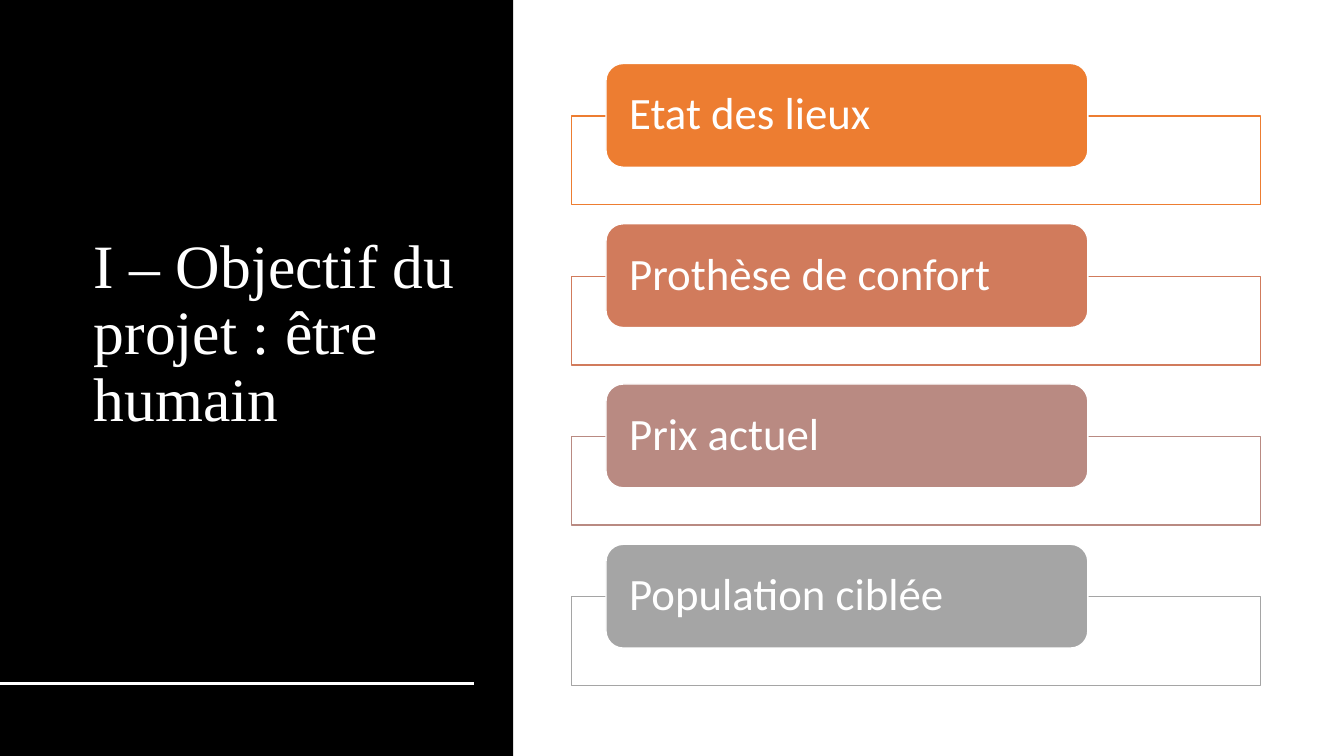
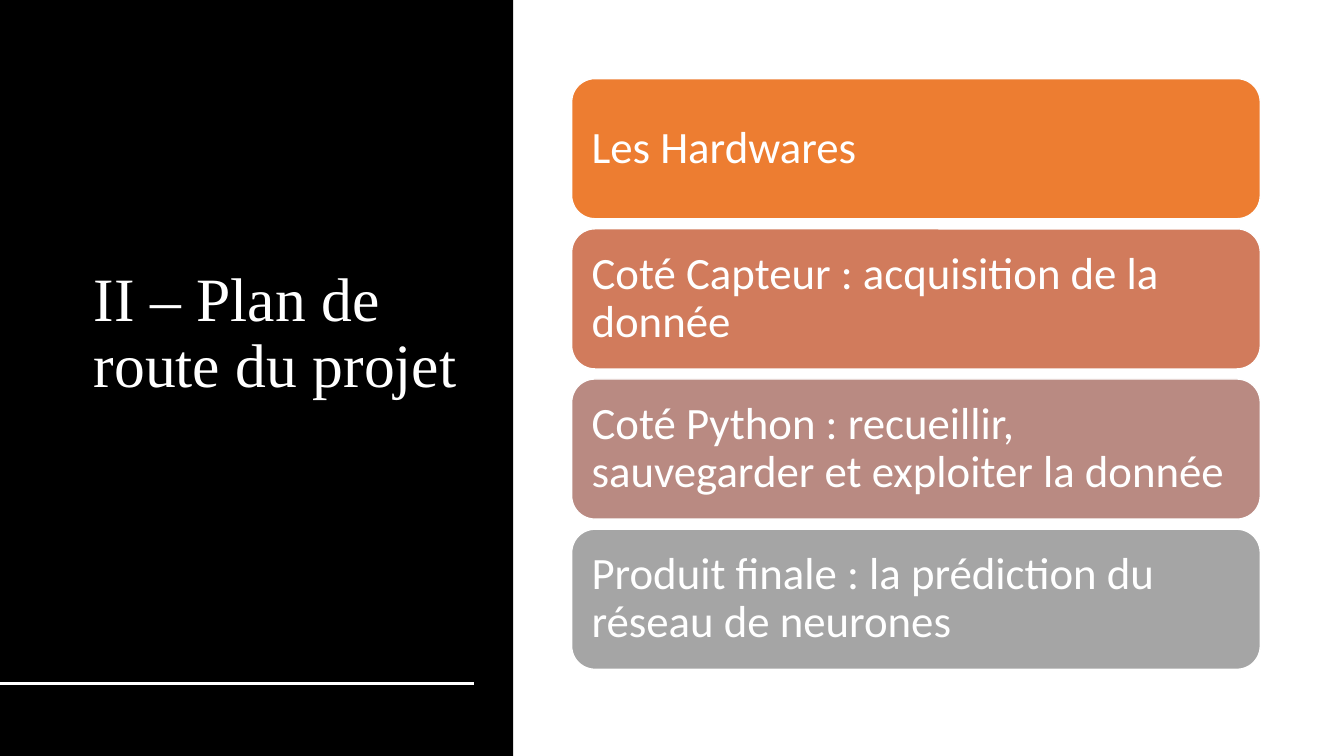
from lxml.etree import SubElement
from pptx import Presentation
from pptx.dml.color import RGBColor
from pptx.enum.shapes import MSO_CONNECTOR, MSO_SHAPE
from pptx.enum.text import MSO_ANCHOR, MSO_AUTO_SIZE, PP_ALIGN
from pptx.oxml.ns import qn
from pptx.util import Inches, Pt

BLACK, WHITE = "000000", "FFFFFF"
STEP_COLOURS = ["ED7D31", "D17B5C", "B98A82", "A5A5A5"]
TITLE_FONT, BODY_FONT = "Times New Roman", "Calibri"
LIST_LEFT, LIST_WIDTH = 5.67, 6.83

GOALS_TITLE = "I – Objectif du projet : être humain"
GOALS = ["Etat des lieux", "Prothèse de confort", "Prix actuel", "Population ciblée"]
ROADMAP_TITLE = "II – Plan de route du projet"
ROADMAP = [
    "Les Hardwares",
    "Coté Capteur : acquisition de la donnée",
    "Coté Python : recueillir, sauvegarder et exploiter la donnée",
    "Produit finale : la prédiction du réseau de neurones",
]


def rgb(colour):
    return RGBColor.from_string(colour)


def add_box(page, kind, left, top, width, height, fill, line=None):
    box = page.shapes.add_shape(
        kind, Inches(left), Inches(top), Inches(width), Inches(height))
    box.shadow.inherit = False
    box.fill.solid()
    box.fill.fore_color.rgb = rgb(fill)
    if line:
        box.line.color.rgb = rgb(line)
        box.line.width = Pt(1)
    else:
        box.line.fill.background()
    return box


def write(box, text, font, size, side, upright):
    """Put white left-aligned text in box, with side and upright insets."""
    frame = box.text_frame
    frame.text = text
    frame.word_wrap = True
    frame.auto_size = MSO_AUTO_SIZE.NONE
    frame.vertical_anchor = MSO_ANCHOR.MIDDLE
    frame.margin_left = frame.margin_right = Inches(side)
    frame.margin_top = frame.margin_bottom = Inches(upright)
    para = frame.paragraphs[0]
    para.alignment = PP_ALIGN.LEFT
    para.line_spacing = 0.9
    para.font.name = font
    para.font.size = Pt(size)
    para.font.color.rgb = rgb(WHITE)


def add_page(deck, heading):
    """Add a slide with the black title panel and its rule."""
    page = deck.slides.add_slide(deck.slide_layouts[5])
    title = page.shapes.title
    title.left, title.top = Inches(0.83), Inches(0.61)
    title.width, title.height = Inches(3.9), Inches(5.42)
    write(title, heading, TITLE_FONT, 44, 0.1, 0.05)

    panel = add_box(page, MSO_SHAPE.RECTANGLE, 0, 0, 5.09, 7.5, BLACK)
    title.element.addprevious(panel.element)

    rule = page.shapes.add_connector(
        MSO_CONNECTOR.STRAIGHT, 0, Inches(6.78), Inches(4.7), Inches(6.78))
    rule.line.color.rgb = rgb(WHITE)
    rule.line.width = Pt(2)
    SubElement(rule.element.spPr, qn("a:effectLst"))
    return page


def add_goals(page):
    """Draw coloured tabs, each overlapping an outlined frame."""
    first_top, pitch = 0.63, 1.59
    for index, (goal, colour) in enumerate(zip(GOALS, STEP_COLOURS)):
        top = first_top + index * pitch
        add_box(page, MSO_SHAPE.RECTANGLE,
                LIST_LEFT, top + 0.52, LIST_WIDTH, 0.88, WHITE, colour)
        tab = add_box(page, MSO_SHAPE.ROUNDED_RECTANGLE,
                      LIST_LEFT + 0.34, top, 4.78, 1.03, colour, WHITE)
        write(tab, goal, BODY_FONT, 32, 0.18, 0)


def add_roadmap(page):
    first_top, height, pitch = 0.78, 1.39, 1.49
    for index, (step, colour) in enumerate(zip(ROADMAP, STEP_COLOURS)):
        card = add_box(page, MSO_SHAPE.ROUNDED_RECTANGLE, LIST_LEFT,
                       first_top + index * pitch, LIST_WIDTH, height, colour, WHITE)
        write(card, step, BODY_FONT, 32, 0.13, 0.13)


def main():
    deck = Presentation()
    deck.slide_width, deck.slide_height = Inches(13.33), Inches(7.5)
    add_goals(add_page(deck, GOALS_TITLE))
    add_roadmap(add_page(deck, ROADMAP_TITLE))
    deck.save("out.pptx")


if __name__ == "__main__":
    main()
